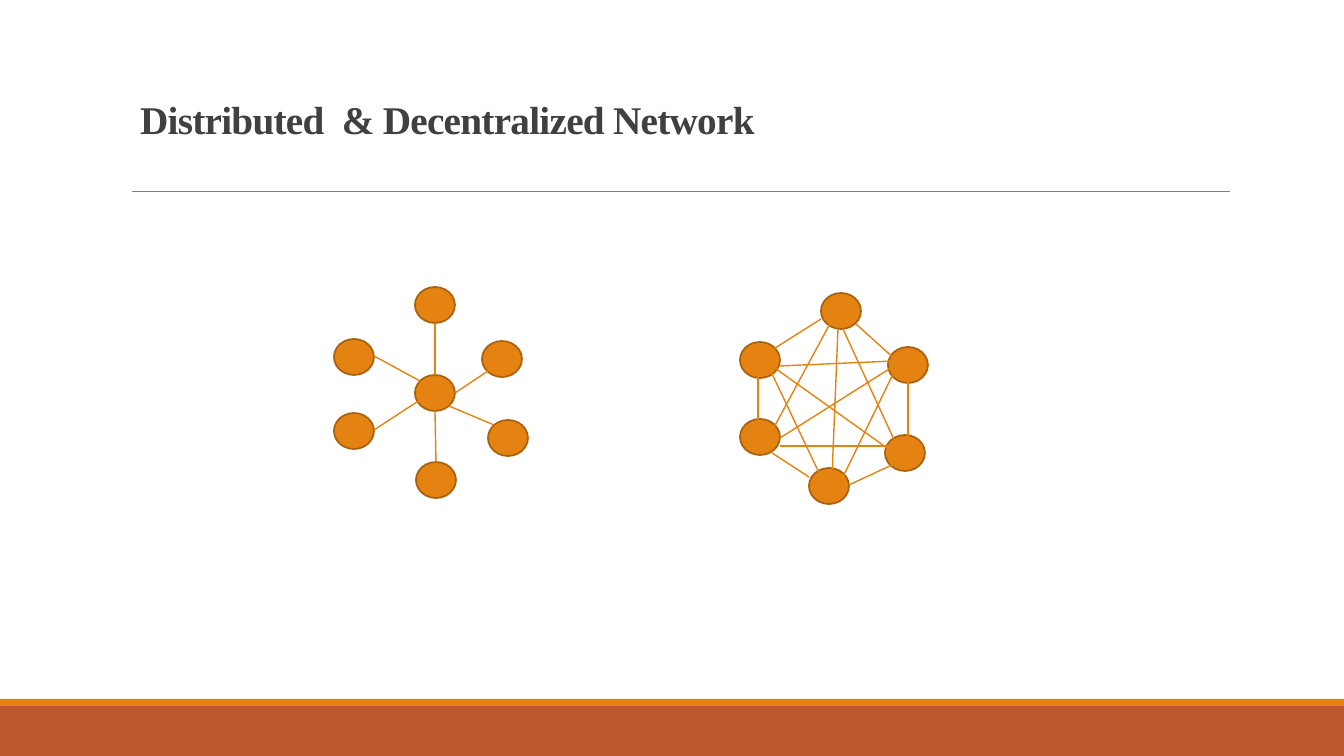
from dataclasses import dataclass

from lxml import etree
from pptx import Presentation
from pptx.dml.color import RGBColor
from pptx.enum.shapes import MSO_CONNECTOR, MSO_SHAPE
from pptx.enum.text import MSO_ANCHOR, PP_ALIGN
from pptx.oxml.ns import qn
from pptx.util import Emu, Pt

RECTANGLE, ELLIPSE = MSO_SHAPE.RECTANGLE, MSO_SHAPE.OVAL
STRAIGHT = MSO_CONNECTOR.STRAIGHT
BOTTOM, LEFT = MSO_ANCHOR.BOTTOM, PP_ALIGN.LEFT

EMU_PER_PX = 914400 / 100.8
TITLE_ONLY_LAYOUT = 5
NODE_SIZE = (40, 36)


@dataclass(frozen=True)
class Theme:
    title: RGBColor = RGBColor.from_string("404040")
    rule: RGBColor = RGBColor.from_string("808080")
    accent: RGBColor = RGBColor.from_string("E48312")
    accent_dark: RGBColor = RGBColor.from_string("A9610D")
    footer: RGBColor = RGBColor.from_string("BD582C")
    font: str = "Times New Roman"
    title_size: int = 28
    title_tracking: str = "-50"
    rule_width: float = 0.5
    link_width: float = 1
    outline_width: float = 1.25


THEME = Theme()

# Node corners and link ends are offsets in px from the network's box.
STAR_NODES = [(0, 52), (148, 54), (81, 0), (154, 133), (0, 126), (82, 175), (81, 88)]
STAR_LINKS = [
    ((40, 69), (86, 94)),
    ((101, 36), (101, 88)),
    ((40, 143), (115, 94)),
    ((102, 175), (101, 124)),
    ((115, 119), (160, 138)),
    ((121, 106), (154, 84)),
]
MESH_NODES = [(0, 49), (148, 54), (81, 0), (145, 142), (0, 126), (69, 175)]
MESH_LINKS = [
    ((116, 31), (157, 68)),
    ((98, 36), (92, 184)),
    ((26, 68), (81, 184)),
    ((168, 84), (168, 145)),
    ((109, 192), (154, 171)),
    ((32, 160), (69, 184)),
    ((18, 80), (18, 129)),
    ((81, 26), (32, 57)),
    ((103, 36), (157, 153)),
    ((92, 27), (32, 138)),
    ((157, 73), (103, 184)),
    ((154, 73), (40, 145)),
    ((154, 68), (40, 73)),
    ((148, 153), (40, 153)),
    ((32, 73), (154, 160)),
]


def px(length):
    return Emu(round(length * EMU_PER_PX))


def add_filled(slide, kind, box, fill, outline=None):
    shape = slide.shapes.add_shape(kind, *map(px, box))
    shape.shadow.inherit = False
    shape.fill.solid()
    shape.fill.fore_color.rgb = fill
    if outline is None:
        shape.line.fill.background()
    else:
        shape.line.color.rgb = outline
        shape.line.width = Pt(THEME.outline_width)


def add_line(slide, start, end, color, width):
    line = slide.shapes.add_connector(STRAIGHT, *map(px, (*start, *end)))
    line.line.color.rgb = color
    line.line.width = Pt(width)
    etree.SubElement(line._element.spPr, qn("a:effectLst"))


def add_footer(slide, box):
    left, top, width, height = box
    stripe = 7
    add_filled(slide, RECTANGLE, (left, top + stripe, width, height - stripe), THEME.footer)
    add_filled(slide, RECTANGLE, (left, top, width, stripe), THEME.accent)


def add_title(slide, box, text):
    title = slide.shapes.title
    title.left, title.top, title.width, title.height = map(px, box)
    frame = title.text_frame
    frame.word_wrap = True
    frame.vertical_anchor = BOTTOM
    frame.margin_bottom = px(51)
    para = frame.paragraphs[0]
    para.alignment = LEFT
    para.line_spacing = 0.85
    span = para.add_run()
    span.text = text
    span._r.get_or_add_rPr().set("spc", THEME.title_tracking)
    para.font.name = THEME.font
    para.font.size = Pt(THEME.title_size)
    para.font.bold = True
    para.font.color.rgb = THEME.title


def add_network(slide, origin, nodes, links):
    left, top = origin
    for x, y in nodes:
        box = (left + x, top + y, *NODE_SIZE)
        add_filled(slide, ELLIPSE, box, THEME.accent, THEME.accent_dark)
    for (x1, y1), (x2, y2) in links:
        start, end = (left + x1, top + y1), (left + x2, top + y2)
        add_line(slide, start, end, THEME.accent, THEME.link_width)


def main():
    deck = Presentation()
    deck.slide_width, deck.slide_height = px(1344), px(756)
    slide = deck.slides.add_slide(deck.slide_layouts[TITLE_ONLY_LAYOUT])
    add_footer(slide, (0, 699, 1344, 57))
    add_line(slide, (132, 191), (1230, 191), THEME.rule, THEME.rule_width)
    add_title(slide, (130, 74, 907, 120), "Distributed  & Decentralized Network")
    add_network(slide, (740, 293), MESH_NODES, MESH_LINKS)
    add_network(slide, (334, 287), STAR_NODES, STAR_LINKS)
    deck.save("out.pptx")


if __name__ == "__main__":
    main()
